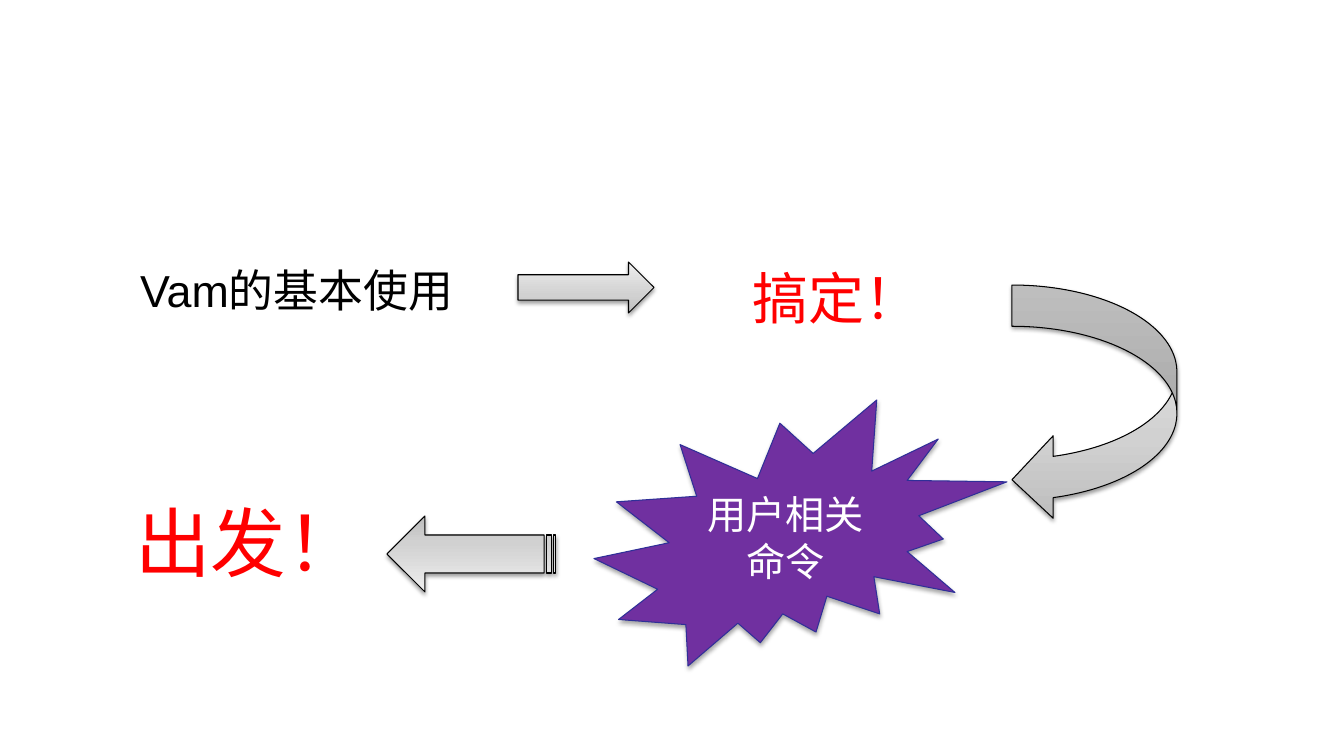
"""Build a slide that shows the learning path as a loop of arrows."""
from pptx import Presentation
from pptx.dml.color import RGBColor
from pptx.enum.shapes import MSO_SHAPE
from pptx.enum.text import MSO_ANCHOR, PP_ALIGN
from pptx.oxml import parse_xml
from pptx.oxml.ns import nsdecls
from pptx.util import Emu, Pt

COLORS = {"black": "000000", "white": "FFFFFF", "red": "FF0000",
          "purple": "7030A0", "navy": "2F2F98"}
GRADIENT = [(0, "BDBDBD"), (35, "D1D1D1"), (100, "EEEEEE")]
FONT = "Arial"
TOPIC = ("Vam的基本使用", (130, 245, 380, 90), 32)
ARROWS = [
    (MSO_SHAPE.RIGHT_ARROW, (518, 262, 136, 51), 0),
    (MSO_SHAPE.CURVED_LEFT_ARROW, (1012, 285, 165, 236), 0),
    (MSO_SHAPE.STRIPED_RIGHT_ARROW, (387, 516, 169, 76), 180),
]
BURST = ("用户相关命令", (594, 400, 413, 266), 28)
CALLS = [
    ("搞定！", (743, 259, 386, 78), 40, PP_ALIGN.LEFT, True, "red", 0.75),
    ("出发！", (125, 491, 247, 102), 54, PP_ALIGN.CENTER, False, "black", 1),
]


def px(n):
    return Emu(round(n * 914400 / 100.8))


def box(lengths):
    return [px(n) for n in lengths]


def rgb(name):
    return RGBColor.from_string(COLORS[name])


def add_run(p, text, size, color):
    r = p.add_run()
    r.text = text
    r.font.name, r.font.size = FONT, Pt(size)
    r.font.color.rgb = rgb(color)
    return r


def outline_text(r, color, width):
    r.font._element.insert(0, parse_xml(
        f'<a:ln {nsdecls("a")} w="{Pt(width)}"><a:solidFill>'
        f'<a:srgbClr val="{COLORS[color]}"/></a:solidFill></a:ln>'))


def set_line(sp, color):
    sp.line.color.rgb = rgb(color)
    sp.line.width = Pt(0.75)


def set_shadow(sp, opacity, distance):
    sp.shadow.inherit = False
    effects = sp._element.spPr.find("{*}effectLst")
    effects.append(parse_xml(
        f'<a:outerShdw {nsdecls("a")} blurRad="{Pt(3.1)}" dist="{Pt(distance)}" '
        f'dir="5400000" rotWithShape="0"><a:srgbClr val="{COLORS["black"]}">'
        f'<a:alpha val="{opacity * 1000}"/></a:srgbClr></a:outerShdw>'))


def set_gradient(sp):
    sp.fill.gradient()
    sp.fill.gradient_angle = 90
    stops = sp._element.spPr.find("{*}gradFill/{*}gsLst")
    for stop in list(stops):
        stops.remove(stop)
    for pos, color in GRADIENT:
        stops.append(parse_xml(
            f'<a:gs {nsdecls("a")} pos="{pos * 1000}"><a:srgbClr val="{color}"/></a:gs>'))


def add_topic(s):
    text, at, size = TOPIC
    sp = s.placeholders[1]
    sp.left, sp.top, sp.width, sp.height = box(at)
    tf = sp.text_frame
    tf.vertical_anchor = MSO_ANCHOR.MIDDLE
    p = tf.paragraphs[0]
    p.space_before = Pt(0)
    pPr = p._p.get_or_add_pPr()
    pPr.set("marL", "0")
    pPr.set("indent", "0")
    pPr.append(parse_xml(f'<a:buNone {nsdecls("a")}/>'))
    add_run(p, text, size, "black")


def add_arrow(s, kind, at, rotation):
    sp = s.shapes.add_shape(kind, *box(at))
    sp.rotation = rotation
    set_gradient(sp)
    set_line(sp, "black")
    set_shadow(sp, 38, 1.6)


def add_burst(s):
    text, at, size = BURST
    sp = s.shapes.add_shape(MSO_SHAPE.EXPLOSION2, *box(at))
    sp.fill.solid()
    sp.fill.fore_color.rgb = rgb("purple")
    set_line(sp, "navy")
    set_shadow(sp, 35, 1.8)
    tf = sp.text_frame
    tf.word_wrap = True
    tf.vertical_anchor = MSO_ANCHOR.MIDDLE
    p = tf.paragraphs[0]
    p.alignment = PP_ALIGN.CENTER
    add_run(p, text, size, "white")


def add_call(s, text, at, size, align, wrap, edge, width):
    tf = s.shapes.add_textbox(*box(at)).text_frame
    tf.word_wrap = wrap
    p = tf.paragraphs[0]
    p.alignment = align
    outline_text(add_run(p, text, size, "red"), edge, width)


def main():
    prs = Presentation()
    prs.slide_width, prs.slide_height = px(1344), px(756)
    s = prs.slides.add_slide(prs.slide_layouts[1])
    title = s.shapes.title._element
    title.getparent().remove(title)
    add_topic(s)
    for arrow in ARROWS:
        add_arrow(s, *arrow)
    add_burst(s)
    for call in CALLS:
        add_call(s, *call)
    prs.save("out.pptx")


if __name__ == "__main__":
    main()
